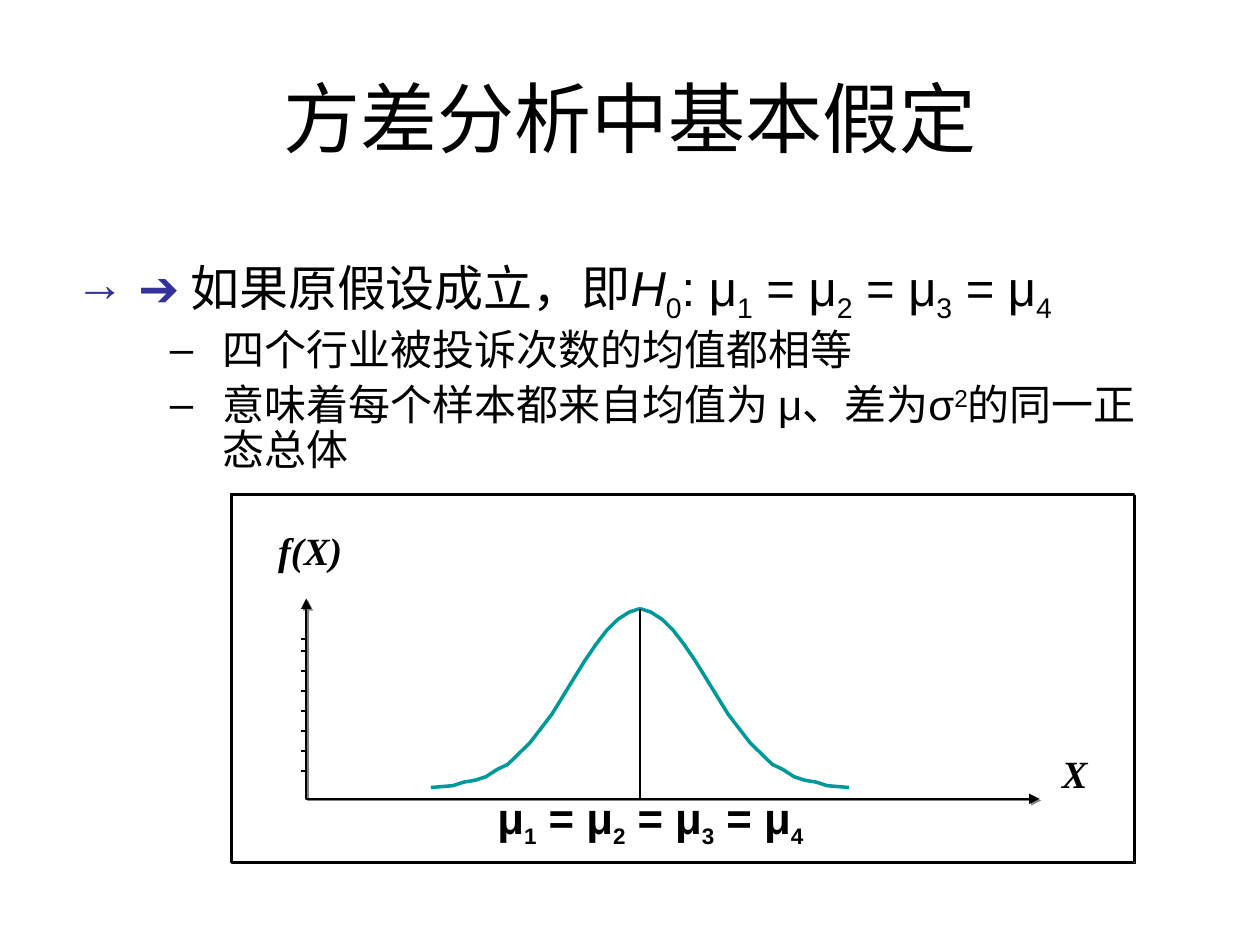
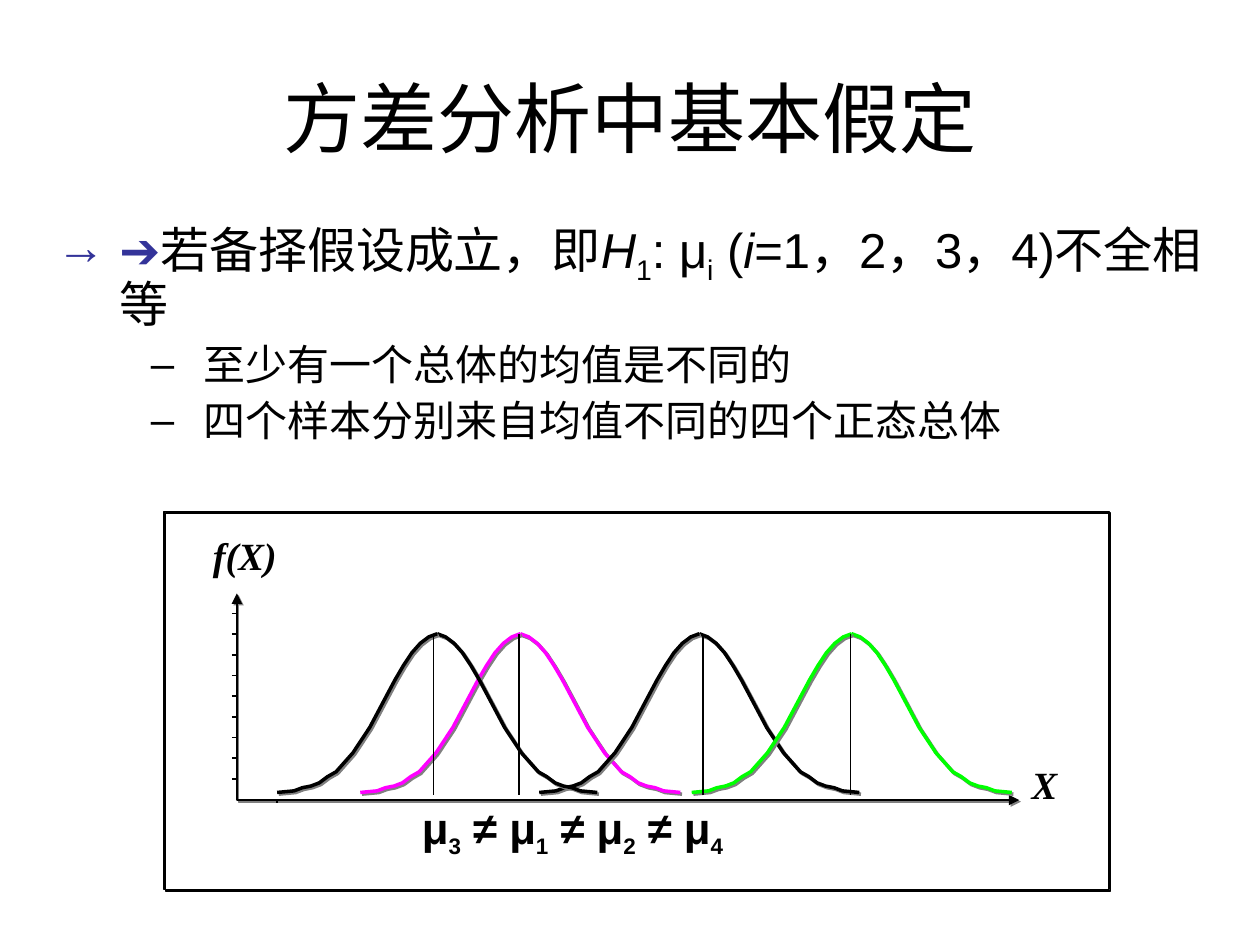
"""Build two slides on the basic assumptions of analysis of variance."""
from dataclasses import dataclass
from typing import NamedTuple

from lxml import etree
from pptx import Presentation, util as u
from pptx.dml.color import RGBColor
from pptx.enum import shapes, text
from pptx.oxml import ns

BLACK = RGBColor(0, 0, 0)
GREY = RGBColor(0x80, 0x80, 0x80)
INDIGO = RGBColor(0x33, 0x33, 0x99)
TEAL = RGBColor(0, 0x99, 0x99)
MAGENTA = RGBColor(0xFF, 0, 0xFF)
GREEN = RGBColor(0, 0xFF, 0)

COLS, ROWS = 100, 75
CELL = u.Inches(0.1)
LATIN, SERIF, CJK = "Arial", "Times New Roman", "Noto Sans CJK SC"
TITLE = "方差分析中基本假定"

HALF_STEPS = (0, 2, 3, 4, 5, 6, 7, 9, 11, 13, 14, 15, 16, 17, 18, 19)
HALF_HEIGHTS = (0, 0.01, 0.03, 0.04, 0.06, 0.1, 0.13, 0.25, 0.41, 0.61,
                0.71, 0.8, 0.88, 0.94, 0.98, 1)

ITALIC = {"italic": True}
SUB = {"baseline": -25}
SUPER = {"baseline": 30}
ARROW = {"color": INDIGO}
AXIS_NAME = {"name": SERIF, "size": 22, "bold": True, "italic": True, "shadow": GREY}


class Box(NamedTuple):
    """Left, top, width and height in grid cells."""
    left: float
    top: float
    width: float
    height: float


class Run(NamedTuple):
    """A piece of text and its format values."""
    text: str
    style: dict = {}


class Bullet(NamedTuple):
    """A bulleted paragraph."""
    level: int
    runs: list[Run]
    before: float = 6


class Bell(NamedTuple):
    """A normal curve, its peak column and its mean-line column."""
    peak: float
    mean: float
    color: RGBColor


@dataclass
class Plot:
    """A framed density plot measured in grid cells."""
    frame: Box
    origin: tuple[float, float]
    axis_top: float
    axis_right: float
    ticks: list[float]
    bells: list[Bell]
    half_width: float
    peak_row: float
    bell_height: float
    mean_end: float
    shadowed: bool
    y_name: Box
    x_name: Box
    formula: Box
    order: str
    sign: str
    origin_tick: float | None = None


@dataclass
class Page:
    """The bullets and the plot of one slide."""
    body: Box
    bullets: list[Bullet]
    plot: Plot


def cells(*values: float) -> list[int]:
    """Turn grid cells into slide lengths."""
    return [round(v * CELL) for v in values]


def child(parent, tag: str, **attrs):
    """Add a drawing element with its attributes."""
    return etree.SubElement(parent, ns.qn(f"a:{tag}"), attrs)


def cast_shadow(effects, color: RGBColor) -> None:
    """Give an effect list a hard shadow down to the right."""
    shadow = child(effects, "outerShdw", dist=str(u.Pt(1.4)), dir="2700000", algn="ctr", rotWithShape="0")
    child(shadow, "srgbClr", val=str(color))


def add_runs(p, runs: list[Run], size: float) -> None:
    """Write formatted runs into a paragraph."""
    for run in runs:
        r = p.add_run()
        r.text = run.text
        style = {"name": LATIN, "size": size, "color": BLACK} | run.style
        r.font.color.rgb = style.pop("color")
        r.font.size = u.Pt(style.pop("size"))
        rpr = r.font._element
        if "baseline" in style:
            rpr.set("baseline", f"{style.pop('baseline')}000")
        if "shadow" in style:
            cast_shadow(child(rpr, "effectLst"), style.pop("shadow"))
        for key, value in style.items():
            setattr(r.font, key, value)
        child(rpr, "ea", typeface=CJK)


def add_text(s, box: Box, runs: list[Run], size: float = 22, wrap: bool = True,
             align=text.PP_ALIGN.LEFT, anchor=text.MSO_ANCHOR.TOP):
    """Add a text box whose first paragraph holds the runs."""
    tf = s.shapes.add_textbox(*cells(*box)).text_frame
    for key, value in {"word_wrap": wrap, "vertical_anchor": anchor}.items():
        setattr(tf, key, value)
    tf.paragraphs[0].alignment = align
    add_runs(tf.paragraphs[0], runs, size)
    return tf


def add_body(s, box: Box, bullets: list[Bullet]) -> None:
    """Add the bulleted text."""
    tf = s.shapes.add_textbox(*cells(*box)).text_frame
    tf.word_wrap = True
    for i, bullet in enumerate(bullets):
        p = tf.add_paragraph() if i else tf.paragraphs[0]
        margin, hang, mark, color, size = (
            (11.7, 4.2, "–", BLACK, 24) if bullet.level else (5, 5, "→", INDIGO, 28))
        p.line_spacing = 0.9
        if i:
            p.space_before = u.Pt(bullet.before)
        ppr = p._p.get_or_add_pPr()
        ppr.set("marL", str(cells(margin)[0]))
        ppr.set("indent", str(cells(-hang)[0]))
        child(child(ppr, "buClr"), "srgbClr", val=str(color))
        child(ppr, "buFont", typeface=LATIN)
        child(ppr, "buChar", char=mark)
        add_runs(p, bullet.runs, size)


def add_line(s, x1: float, y1: float, x2: float, y2: float) -> None:
    """Add a thin straight line."""
    c = s.shapes.add_connector(shapes.MSO_CONNECTOR.STRAIGHT, *cells(x1, y1, x2, y2))
    c.line.color.rgb, c.line.width = BLACK, u.Pt(1)
    child(c._element.spPr, "effectLst")


def outline(sp, color: RGBColor, width: float, shadow: RGBColor | None) -> None:
    """Leave a shape unfilled and style its outline."""
    sp.fill.background()
    sp.line.color.rgb, sp.line.width = color, u.Pt(width)
    sp.shadow.inherit = False
    if shadow is not None:
        cast_shadow(sp._element.spPr.find(ns.qn("a:effectLst")), shadow)


def add_path(s, points: list[tuple[float, float]], color: RGBColor, width: float,
             shadow: RGBColor | None):
    """Add an open outline through the points."""
    start, *rest = [cells(*point) for point in points]
    builder = s.shapes.build_freeform(*start)
    builder.add_line_segments(rest, close=False)
    sp = builder.convert_to_shape()
    outline(sp, color, width, shadow)
    return sp


def add_plot(s, plot: Plot) -> None:
    """Draw the frame, axes, curves, mean lines and labels."""
    frame = s.shapes.add_shape(shapes.MSO_SHAPE.RECTANGLE, *cells(*plot.frame))
    outline(frame, BLACK, 1, BLACK)
    x0, y0 = plot.origin
    axes = add_path(s, [(x0, plot.axis_top), (x0, y0), (plot.axis_right, y0)], BLACK, 1, GREY)
    for end in ("headEnd", "tailEnd"):
        child(axes.line._ln, end, type="triangle")
    for row in plot.ticks:
        add_line(s, x0 - 0.4, row, x0, row)
    if plot.origin_tick is not None:
        add_line(s, plot.origin_tick, y0, plot.origin_tick, y0 + 0.2)
    for bell in plot.bells:
        for side in (1, -1):
            points = [(bell.peak + side * plot.half_width * (1 - step / HALF_STEPS[-1]),
                       plot.peak_row + plot.bell_height * (1 - height))
                      for step, height in zip(HALF_STEPS, HALF_HEIGHTS)]
            add_path(s, points, bell.color, 2, GREY if plot.shadowed else None)
    for bell in plot.bells:
        add_line(s, bell.mean, plot.peak_row, bell.mean, plot.mean_end)
    add_text(s, plot.y_name, [Run("f(X)", AXIS_NAME)], wrap=False)
    add_text(s, plot.x_name, [Run("X", AXIS_NAME)], wrap=False)
    bold = {"bold": True}
    runs = []
    for i, index in enumerate(plot.order):
        runs += [Run(f" {plot.sign} μ" if i else "μ", bold), Run(index, bold | SUB | {"size": 22})]
    add_text(s, plot.formula, runs, size=25)


EQUAL_MEANS = [Run("0", SUB), Run(": μ"), Run("1", SUB)]
for number in "234":
    EQUAL_MEANS += [Run(" = μ"), Run(number, SUB)]

PAGES = [
    Page(
        Box(5, 20, 88.3, 24.2),
        [Bullet(0, [Run("➔ ", ARROW), Run("如果原假设成立，即"), Run("H", ITALIC), *EQUAL_MEANS]),
         Bullet(1, [Run("四个行业被投诉次数的均值都相等")]),
         Bullet(1, [Run("意味着每个样本都来自均值为 μ、差为σ"), Run("2", SUPER),
                    Run("的同一正态总体")], 5.5)],
        Plot(frame=Box(18.3, 39.2, 71.7, 29.2), origin=(24.3, 63.4), axis_top=47.5,
             axis_right=82.5, ticks=[50.7, *(51.65 + 1.59 * i for i in range(7))],
             bells=[Bell(50.8, 50.8, TEAL)], half_width=16.6, peak_row=48.3,
             bell_height=14.2, mean_end=63.3, shadowed=False,
             y_name=Box(21.1, 41.3, 7.1, 4.6), x_name=Box(83.3, 59, 4, 4.6),
             formula=Box(38.5, 62.3, 37.3, 5.6), order="1234", sign="=")),
    Page(
        Box(3.5, 17, 93.3, 22.5),
        [Bullet(0, [Run("➔", ARROW), Run("若备择假设成立，即"), Run("H", ITALIC), Run("1", SUB),
                    Run(": μ"), Run("i", SUB), Run(" ("), Run("i", ITALIC),
                    Run("=1，2，3，4)"), Run("不全相等", {"name": CJK})]),
         Bullet(1, [Run("至少有一个总体的均值是不同的")]),
         Bullet(1, [Run("四个样本分别来自均值不同的四个正态总体")])],
        Plot(frame=Box(13, 40.6, 75, 30), origin=(18.8, 63.5), axis_top=47.1,
             axis_right=80.9, ticks=[48.7 + 1.64 * i for i in range(9)],
             bells=[Bell(41.3, 41.2, MAGENTA), Bell(55.5, 55.8, BLACK),
                    Bell(67.6, 67.5, GREEN), Bell(34.7, 34.4, BLACK)],
             half_width=12.7, peak_row=50.3, bell_height=12.6, mean_end=63.1, shadowed=True,
             y_name=Box(15.9, 41.7, 7.1, 4.6), x_name=Box(80.9, 59.9, 4, 4.6),
             formula=Box(32.5, 63.1, 33.1, 5.6), order="3124", sign="≠", origin_tick=22)),
]


def main() -> None:
    """Build and save the deck."""
    prs = Presentation()
    prs.slide_width, prs.slide_height = cells(COLS, ROWS)
    for page in PAGES:
        s = prs.slides.add_slide(prs.slide_layouts[6])
        add_text(s, Box(5, 3, 90, 12.5), [Run(TITLE)], 44, align=text.PP_ALIGN.CENTER,
                 anchor=text.MSO_ANCHOR.MIDDLE)
        add_body(s, page.body, page.bullets)
        add_plot(s, page.plot)
    prs.save("out.pptx")


if __name__ == "__main__":
    main()
